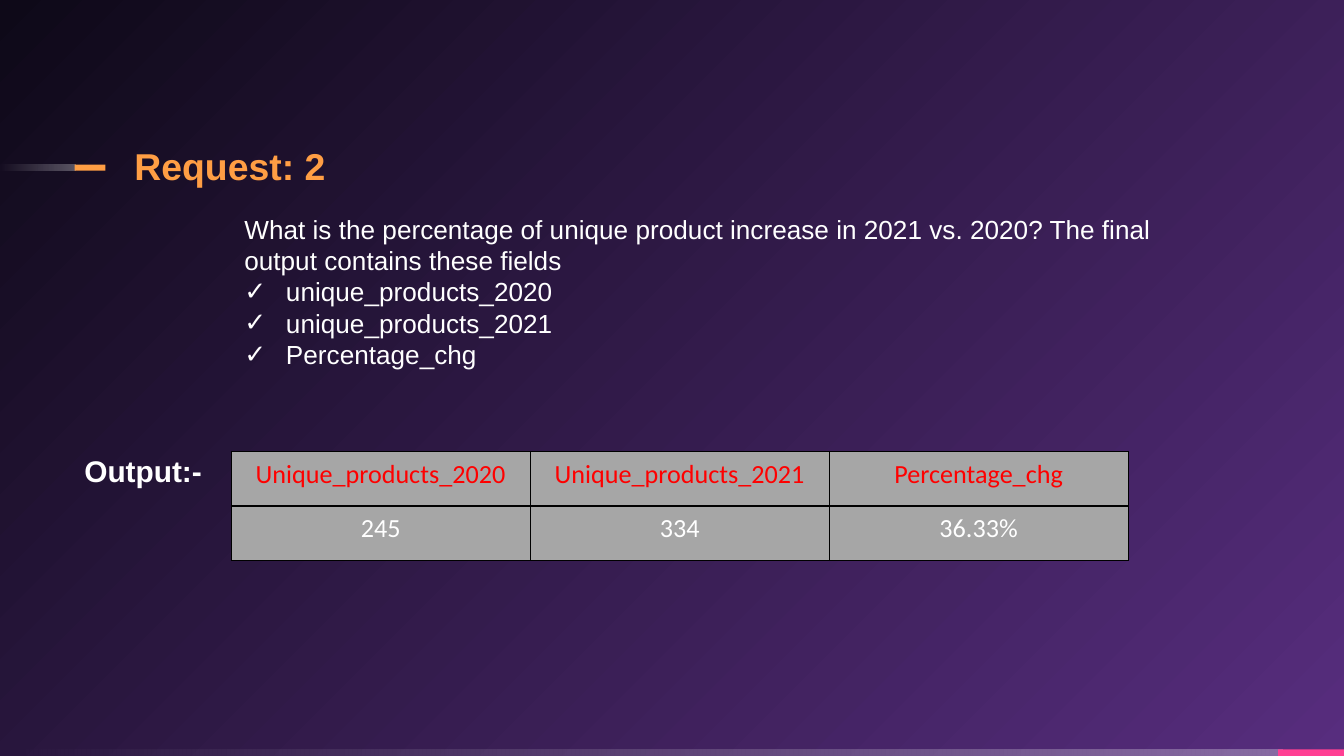
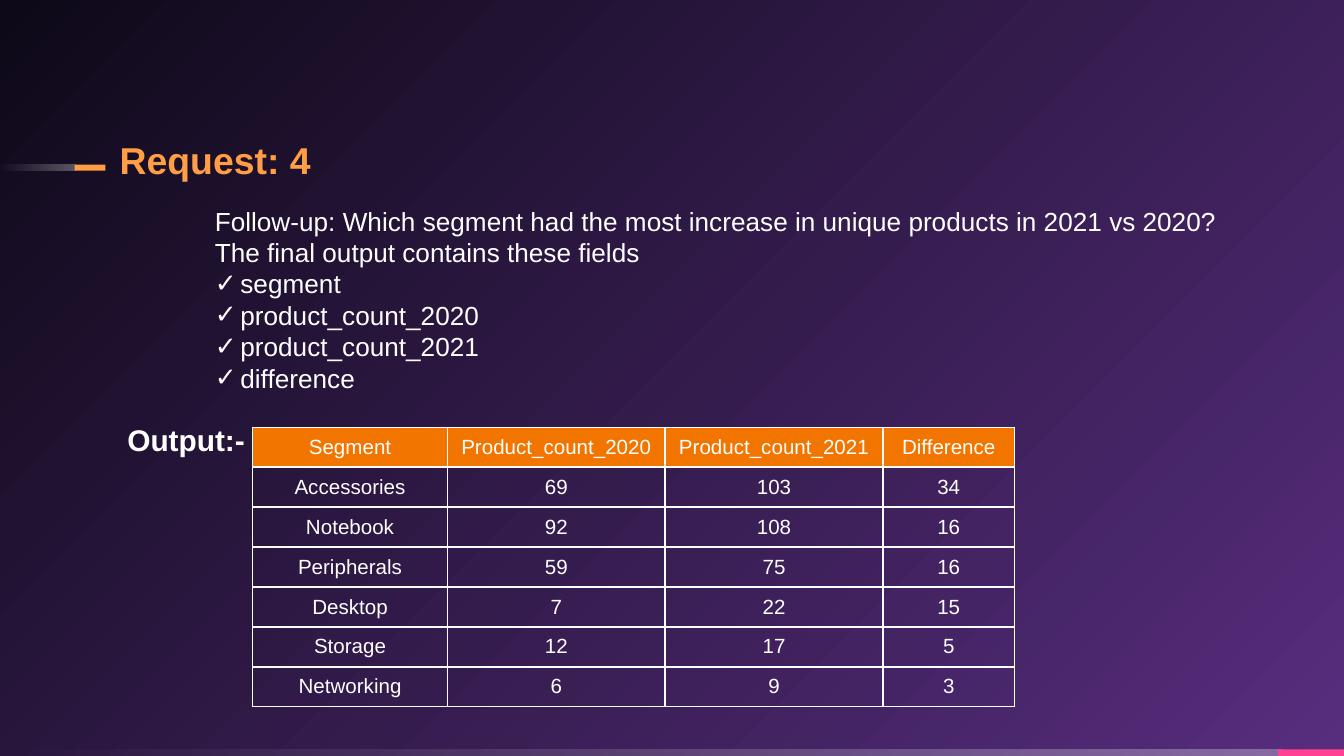
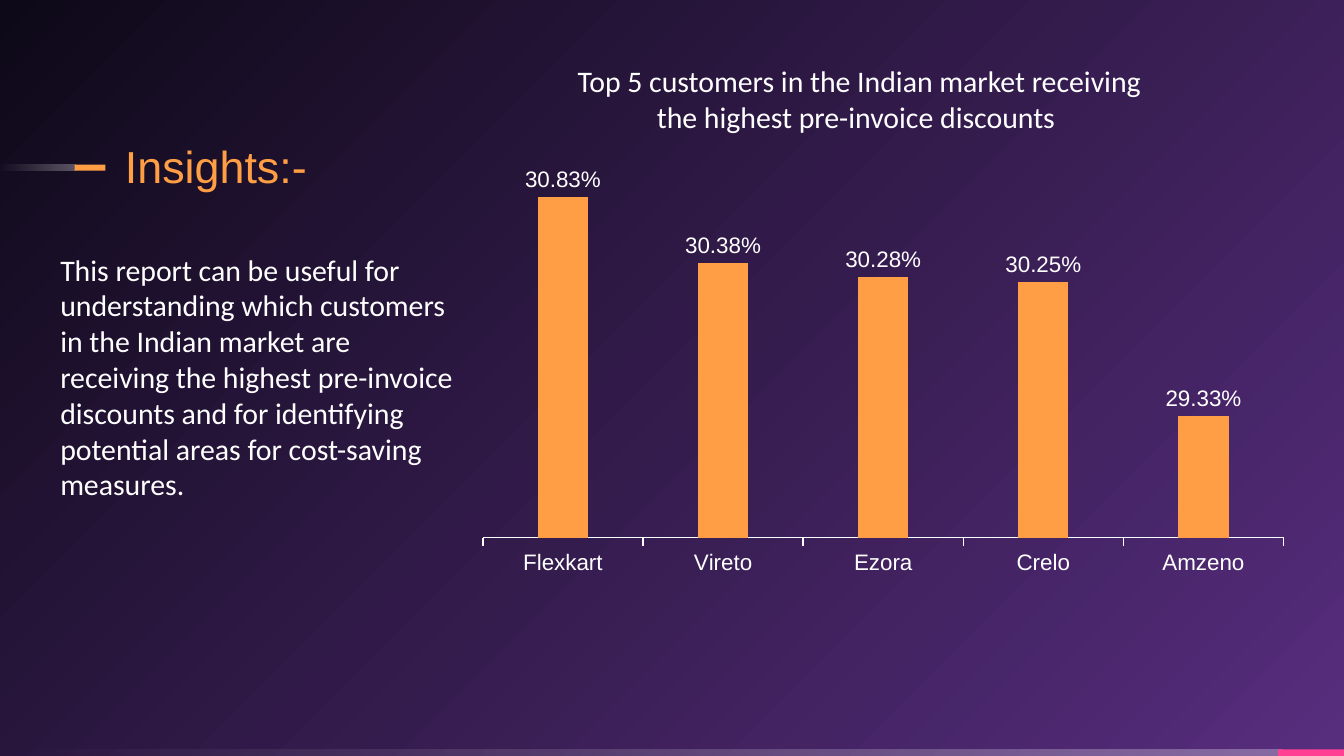
from dataclasses import dataclass

from pptx import Presentation
from pptx.chart.data import CategoryChartData
from pptx.dml.color import RGBColor
from pptx.enum.chart import XL_CHART_TYPE, XL_LABEL_POSITION, XL_TICK_MARK
from pptx.enum.shapes import MSO_SHAPE
from pptx.enum.text import MSO_ANCHOR, MSO_AUTO_SIZE, PP_ALIGN
from pptx.oxml import parse_xml
from pptx.oxml.ns import nsdecls, qn
from pptx.util import Pt

PX = 4572
TITLE_ONLY = 5
LEFT, CENTER = PP_ALIGN.LEFT, PP_ALIGN.CENTER
TOP, MIDDLE = MSO_ANCHOR.TOP, MSO_ANCHOR.MIDDLE
GROW = MSO_AUTO_SIZE.SHAPE_TO_FIT_TEXT
RECTANGLE = MSO_SHAPE.RECTANGLE
COLUMNS = XL_CHART_TYPE.COLUMN_CLUSTERED
OUTSIDE_END = XL_LABEL_POSITION.OUTSIDE_END
TICK_OUT = XL_TICK_MARK.OUTSIDE
PERCENT = "0.00%"


@dataclass(frozen=True)
class Theme:
    white: str = "FFFFFF"
    black: str = "000000"
    orange: str = "FF9E44"
    header: str = "F27500"
    pink: str = "FF4093"
    red: str = "FF0000"
    grey: str = "A6A6A6"
    purple: str = "572D7E"
    night: str = "0E0918"
    sans: str = "Arial"
    humanist: str = "Calibri"
    insight_title: int = 24
    request_title: int = 20
    label: int = 16
    body: int = 14
    axis: int = 12
    grid: int = 11
    leading: float = 1.2


THEME = Theme()


@dataclass(frozen=True)
class Box:
    left: int
    top: int
    width: int
    height: int

    def inner(self, left, top, width, height):
        return Box(self.left + left, self.top + top, width, height)

    def emu(self):
        return [PX * side for side in (self.left, self.top, self.width, self.height)]


FULL_PAGE = Box(0, 0, 2000, 1125)


def style(font, size, color=THEME.white, name=THEME.sans, bold=False):
    for attribute, value in {"size": Pt(size), "name": name, "bold": bold}.items():
        setattr(font, attribute, value)
    font.color.rgb = RGBColor.from_string(color)


def gradient(stops, direction):
    marks = "".join(
        f'<a:gs pos="{position * 1000}"><a:srgbClr val="{color}">'
        f'<a:alpha val="{alpha * 1000}"/></a:srgbClr></a:gs>'
        for position, color, alpha in stops
    )
    return f'<a:gradFill {nsdecls("a")} rotWithShape="1"><a:gsLst>{marks}</a:gsLst>{direction}</a:gradFill>'


def write(shape, box, lines, size, align=LEFT, **look):
    shape.left, shape.top, shape.width, shape.height = box.emu()
    frame = shape.text_frame
    settings = {"word_wrap": True, "auto_size": GROW, "vertical_anchor": TOP}
    for attribute, value in settings.items():
        setattr(frame, attribute, value)
    for index, line in enumerate(lines):
        para = frame.add_paragraph() if index else frame.paragraphs[0]
        para.alignment = align
        para.line_spacing = Pt(size * THEME.leading)
        span = para.add_run()
        span.text = line
        style(span.font, size, **look)
    return frame


def add_text(page, box, lines, size, **look):
    return write(page.shapes.add_textbox(*box.emu()), box, lines, size, **look)


def add_bullet(para, indent):
    properties = para._p.get_or_add_pPr()
    properties.set("marL", str(indent * PX))
    properties.set("indent", str(-indent * PX))
    names = nsdecls("a")
    for markup in (
        f'<a:buClr {names}><a:srgbClr val="{THEME.white}"/></a:buClr>',
        f'<a:buFont {names} typeface="{THEME.sans}"/>',
        f'<a:buChar {names} char="✓"/>',
    ):
        properties.append(parse_xml(markup))


def add_band(page, layout, box, color=None):
    band = page.shapes.add_shape(RECTANGLE, *box.emu())
    band.shadow.inherit = False
    band.line.fill.background()
    if color:
        band.fill.solid()
        band.fill.fore_color.rgb = RGBColor.from_string(color)
    else:
        band.fill.background()
        fade = gradient(
            [(0, THEME.white, 30), (100, THEME.white, 0)],
            '<a:lin ang="10800000" scaled="0"/>',
        )
        properties = band.element.spPr
        properties.replace(properties.find(qn("a:noFill")), parse_xml(fade))
    layout.shapes.element.append(band.element)


def decorate(layout, page, box):
    glow = gradient(
        [(0, THEME.purple, 100), (100, THEME.night, 100)],
        '<a:path path="circle"><a:fillToRect l="100000" t="100000"/></a:path>',
    )
    backdrop = f'<p:bg {nsdecls("p", "a")}><p:bgPr>{glow}<a:effectLst/></p:bgPr></p:bg>'
    layout.element.find(qn("p:cSld")).insert(0, parse_xml(backdrop))
    add_band(page, layout, box.inner(0, 1115, 1908, 10))
    add_band(page, layout, box.inner(1902, 1115, 98, 10), THEME.pink)
    add_band(page, layout, box.inner(0, 245, 112, 9))
    add_band(page, layout, box.inner(111, 245, 46, 9), THEME.orange)


def add_question(page, box, question, fields, indent):
    frame = add_text(page, box, [question, *fields], THEME.body)
    frame.margin_top = 57 * PX
    for para in frame.paragraphs[1:]:
        add_bullet(para, indent)


def add_borders(cell, color, width):
    properties = cell._tc.get_or_add_tcPr()
    for index, side in enumerate(("lnL", "lnR", "lnT", "lnB")):
        properties.insert(index, parse_xml(
            f'<a:{side} {nsdecls("a")} w="{Pt(width)}"><a:solidFill>'
            f'<a:srgbClr val="{color}"/></a:solidFill></a:{side}>'
        ))


def add_output(page, box, widths, rows, look):
    table = page.shapes.add_table(len(rows), len(widths), *box.emu()).table
    table.first_row = table.horz_banding = False
    for column, width in zip(table.columns, widths):
        column.width = width * PX
    for row_index, row in enumerate(rows):
        fill, color = look["body"] if row_index else look["header"]
        for column_index, value in enumerate(row):
            cell = table.cell(row_index, column_index)
            cell.vertical_anchor = look["anchor"]
            if fill:
                cell.fill.solid()
                cell.fill.fore_color.rgb = RGBColor.from_string(fill)
            else:
                cell.fill.background()
            add_borders(cell, *look["border"])
            para = cell.text_frame.paragraphs[0]
            para.alignment = CENTER
            span = para.add_run()
            span.text = value
            style(span.font, look["size"], color, look["font"])


def request_page(page, box, request):
    write(page.shapes.title, box.inner(*request["title_at"]), [request["title"]],
          THEME.request_title, color=THEME.orange, bold=True)
    add_question(page, box.inner(*request["question_at"]), request["question"],
                 request["fields"], request["indent"])
    add_text(page, box.inner(*request["label_at"]), ["Output:-"], THEME.label, bold=True)
    add_output(page, box.inner(*request["table_at"]), request["widths"],
               request["rows"], request["look"])


def add_discount_chart(page, box, discounts):
    data = CategoryChartData(number_format=PERCENT)
    data.categories = list(discounts)
    data.add_series("Series 1", list(discounts.values()))
    chart = page.shapes.add_chart(COLUMNS, *box.emu(), data).chart
    chart.has_title = chart.has_legend = False
    style(chart.font, THEME.axis)

    plot = chart.plots[0]
    plot.gap_width, plot.overlap, plot.vary_by_categories = 219, -27, False
    series_fill = plot.series[0].format.fill
    series_fill.solid()
    series_fill.fore_color.rgb = RGBColor.from_string(THEME.orange)
    plot.has_data_labels = True
    labels = plot.data_labels
    settings = {"show_value": True, "position": OUTSIDE_END,
                "number_format": PERCENT, "number_format_is_linked": False}
    for attribute, value in settings.items():
        setattr(labels, attribute, value)
    style(labels.font, THEME.axis)

    values = chart.value_axis
    settings = {"visible": False, "has_major_gridlines": False,
                "minimum_scale": 0.285, "maximum_scale": 0.31}
    for attribute, value in settings.items():
        setattr(values, attribute, value)
    customers = chart.category_axis
    customers.major_tick_mark = TICK_OUT
    customers.has_major_gridlines = False
    customers.format.line.width = Pt(0.75)
    customers.format.line.color.rgb = RGBColor.from_string(THEME.white)
    style(customers.tick_labels.font, THEME.axis)

    area = chart.element.find(".//" + qn("c:plotArea"))
    for old in area.findall(qn("c:layout")):
        area.remove(old)
    frame = {"x": 0.066, "y": 0.155, "w": 0.918, "h": 0.659}
    modes = '<c:xMode val="edge"/><c:yMode val="edge"/>'
    sides = "".join(f'<c:{side} val="{share}"/>' for side, share in frame.items())
    area.insert(0, parse_xml(
        f'<c:layout {nsdecls("c")}><c:manualLayout><c:layoutTarget val="inner"/>'
        f'{modes}{sides}</c:manualLayout></c:layout>'
    ))


def insight_page(page, box, insight):
    write(page.shapes.title, box.inner(166, 196, 318, 100), [insight["title"]],
          THEME.insight_title, color=THEME.orange)
    add_text(page, box.inner(70, 364, 630, 398), [insight["finding"]],
             THEME.label, name=THEME.humanist)
    add_discount_chart(page, box.inner(633, 128, 1298, 826), insight["discounts"])
    add_text(page, box.inner(826, 84, 906, 128), [insight["heading"]],
             THEME.label, align=CENTER, name=THEME.humanist)


REQUESTS = [
    {
        "title": "Request: 2",
        "title_at": (180, 203, 330, 88),
        "question": "What is the percentage of unique product increase in 2021 vs. 2020? "
                    "The final output contains these fields",
        "question_at": (344, 260, 1500, 302),
        "fields": ["unique_products_2020", "unique_products_2021", "Percentage_chg"],
        "indent": 62,
        "label_at": (106, 664, 238, 74),
        "table_at": (344, 672, 1335, 162),
        "widths": [445] * 3,
        "rows": [
            ("Unique_products_2020", "Unique_products_2021", "Percentage_chg"),
            ("245", "334", "36.33%"),
        ],
        "look": {
            "header": (THEME.grey, THEME.red), "body": (THEME.grey, THEME.white),
            "border": (THEME.black, 0.75), "anchor": TOP,
            "size": THEME.body, "font": THEME.humanist,
        },
    },
    {
        "title": "Request: 4",
        "title_at": (158, 194, 330, 88),
        "question": "Follow-up: Which segment had the most increase in unique products "
                    "in 2021 vs 2020? The final output contains these fields",
        "question_at": (300, 248, 1564, 350),
        "fields": ["segment", "product_count_2020", "product_count_2021", "difference"],
        "indent": 38,
        "label_at": (170, 618, 238, 74),
        "table_at": (376, 636, 1134, 416),
        "widths": [290, 324, 324, 196],
        "rows": [
            ("Segment", "Product_count_2020", "Product_count_2021", "Difference"),
            ("Accessories", "69", "103", "34"),
            ("Notebook", "92", "108", "16"),
            ("Peripherals", "59", "75", "16"),
            ("Desktop", "7", "22", "15"),
            ("Storage", "12", "17", "5"),
            ("Networking", "6", "9", "3"),
        ],
        "look": {
            "header": (THEME.header, THEME.white), "body": (None, THEME.white),
            "border": (THEME.white, 1), "anchor": MIDDLE,
            "size": THEME.grid, "font": THEME.sans,
        },
    },
]

INSIGHT = {
    "title": "Insights:-",
    "finding": "This report can be useful for understanding which customers in the Indian "
               "market are receiving the highest pre-invoice discounts and for identifying "
               "potential areas for cost-saving measures.",
    "heading": "Top 5 customers in the Indian market receiving the highest pre-invoice discounts ",
    "discounts": {"Flexkart": 0.3083, "Vireto": 0.3038, "Ezora": 0.3028,
                  "Crelo": 0.3025, "Amzeno": 0.2933},
}


def main():
    deck = Presentation()
    deck.slide_width = FULL_PAGE.width * PX
    deck.slide_height = FULL_PAGE.height * PX
    layout = deck.slide_layouts[TITLE_ONLY]
    pages = [deck.slides.add_slide(layout) for _ in range(len(REQUESTS) + 1)]
    decorate(layout, pages[0], FULL_PAGE)
    for page, request in zip(pages, REQUESTS):
        request_page(page, FULL_PAGE, request)
    insight_page(pages[-1], FULL_PAGE, INSIGHT)
    deck.save("out.pptx")


if __name__ == "__main__":
    main()
